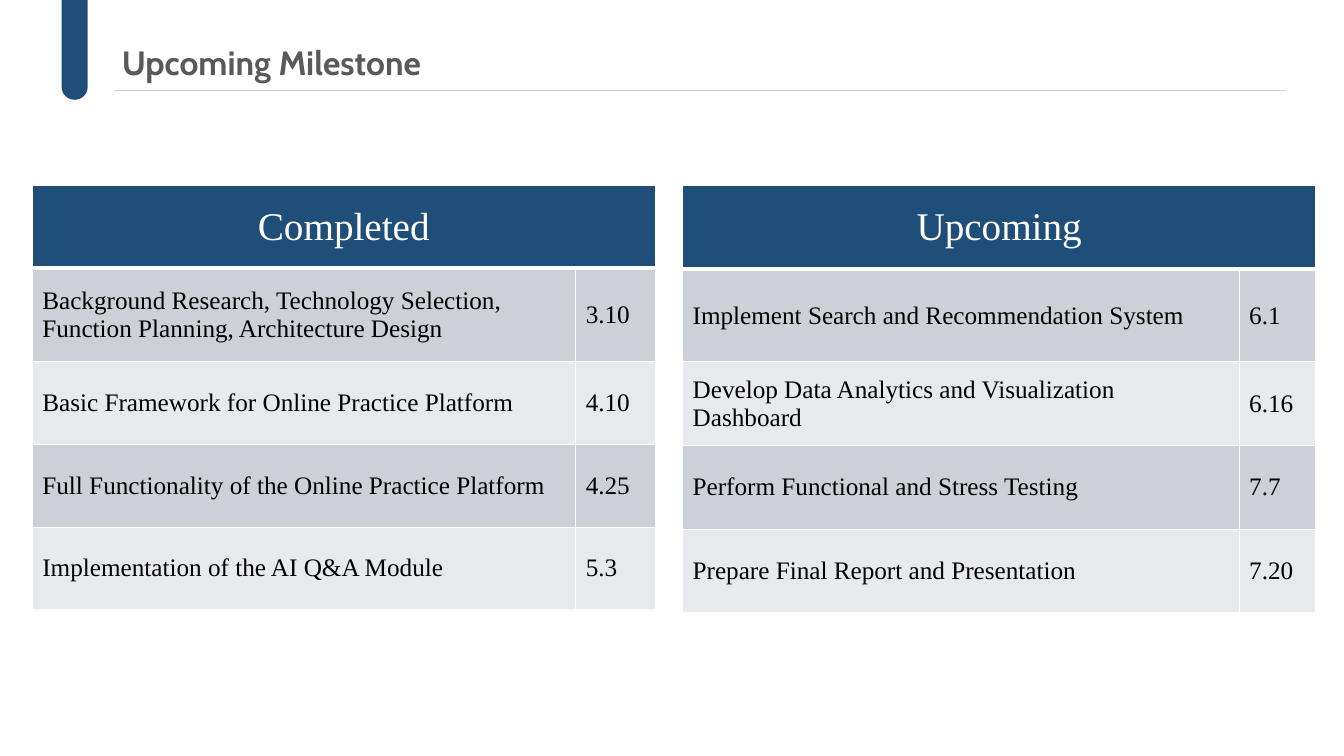
from lxml import etree
from pptx import Presentation
from pptx import util as u
from pptx.dml import color
from pptx.enum import shapes, text
from pptx.oxml import ns

NAVY, WHITE, BLACK = "1F4E79", "FFFFFF", "000000"
BANDS = ("CDD0D7", "E8E9EC")
TABLE_TOP = 1.84

COMPLETED = [
    ("Background Research, Technology Selection, Function Planning, Architecture Design", "3.10"),
    ("Basic Framework for Online Practice Platform", "4.10"),
    ("Full Functionality of the Online Practice Platform", "4.25"),
    ("Implementation of the AI Q&A Module", "5.3"),
]
UPCOMING = [
    ("Implement Search and Recommendation System", "6.1"),
    ("Develop Data Analytics and Visualization Dashboard", "6.16"),
    ("Perform Functional and Stress Testing", "7.7"),
    ("Prepare Final Report and Presentation", "7.20"),
]


def rgb(value):
    """Return the colour for a hex string."""
    return color.RGBColor.from_string(value)


def paint(target, value):
    """Give a shape or a cell a solid fill."""
    target.fill.solid()
    target.fill.fore_color.rgb = rgb(value)


def write(frame, words, font_color, **formats):
    """Put words in a text frame and format them."""
    run = frame.paragraphs[0].add_run()
    run.text = words
    for name, value in formats.items():
        setattr(run.font, name, value)
    run.font.color.rgb = rgb(font_color)


def add_border(cell, side, points):
    """Draw one white border of a cell."""
    line = etree.SubElement(cell._tc.get_or_add_tcPr(), ns.qn(f"a:ln{side}"), w=str(u.Pt(points)))
    fill = etree.SubElement(line, ns.qn("a:solidFill"))
    etree.SubElement(fill, ns.qn("a:srgbClr"), val=WHITE)


def style_cell(cell, fill, top=1, bottom=1):
    """Set the borders, fill and anchor of a cell."""
    for side, points in {"L": 1, "R": 1, "T": top, "B": bottom}.items():
        add_border(cell, side, points)
    paint(cell, fill)
    cell.vertical_anchor = text.MSO_ANCHOR.MIDDLE


def add_header(slide):
    """Add the rule, the tab and the title at the top."""
    rule = slide.shapes.add_connector(
        shapes.MSO_CONNECTOR.STRAIGHT, u.Inches(1.13), u.Inches(0.9), u.Inches(12.75), u.Inches(0.9))
    rule.line.color.rgb = rgb("D0CECE")
    rule.line.width = u.Pt(0.5)
    etree.SubElement(rule._element.spPr, ns.qn("a:effectLst"))

    tab = slide.shapes.add_shape(
        shapes.MSO_SHAPE.ROUND_2_SAME_RECTANGLE,
        u.Inches(0.61), 0, u.Inches(0.26), u.Inches(0.99))
    tab.adjustments[0] = 0.5
    tab.rotation = 180
    tab.shadow.inherit = False
    paint(tab, NAVY)
    tab.line.fill.background()

    title = slide.shapes.add_textbox(u.Inches(1.11), u.Inches(0.37), u.Inches(7.07), u.Inches(0.5))
    title.text_frame.word_wrap = True
    write(title.text_frame, "Upcoming Milestone", "595959", name="Cabin", size=u.Pt(24), bold=True)


def add_milestones(slide, heading, milestones, left, widths, heights):
    """Add a table of milestones and dates under a merged heading."""
    frame = slide.shapes.add_table(
        len(heights), len(widths), u.Inches(left), u.Inches(TABLE_TOP),
        u.Inches(sum(widths)), u.Inches(sum(heights)))
    table = frame.table
    for column, width in zip(table.columns, widths):
        column.width = u.Inches(width)
    for row, height in zip(table.rows, heights):
        row.height = u.Inches(height)

    font = {"name": "Times New Roman", "bold": False}
    header = table.cell(0, 0)
    header.merge(table.cell(0, 1))
    for column in range(len(widths)):
        style_cell(table.cell(0, column), NAVY, bottom=3)
    write(header.text_frame, heading, WHITE, size=u.Pt(28), **font)
    header.text_frame.paragraphs[0].alignment = text.PP_ALIGN.CENTER

    for row, milestone in enumerate(milestones, 1):
        for column, words in enumerate(milestone):
            cell = table.cell(row, column)
            style_cell(cell, BANDS[(row - 1) % 2], top=3 if row == 1 else 1)
            write(cell.text_frame, words, BLACK, size=u.Pt(18), **font)


def main():
    """Build and save the slide."""
    presentation = Presentation()
    presentation.slide_width = u.Inches(13.33)
    presentation.slide_height = u.Inches(7.5)
    slide = presentation.slides.add_slide(presentation.slide_layouts[6])
    add_header(slide)
    add_milestones(slide, "Completed", COMPLETED, 0.32, (5.39, 0.79), (0.82, 0.93, 0.82, 0.82, 0.82))
    add_milestones(slide, "Upcoming", UPCOMING, 6.77, (5.52, 0.76), (0.83, 0.92, 0.83, 0.83, 0.83))
    presentation.save("out.pptx")


if __name__ == "__main__":
    main()
